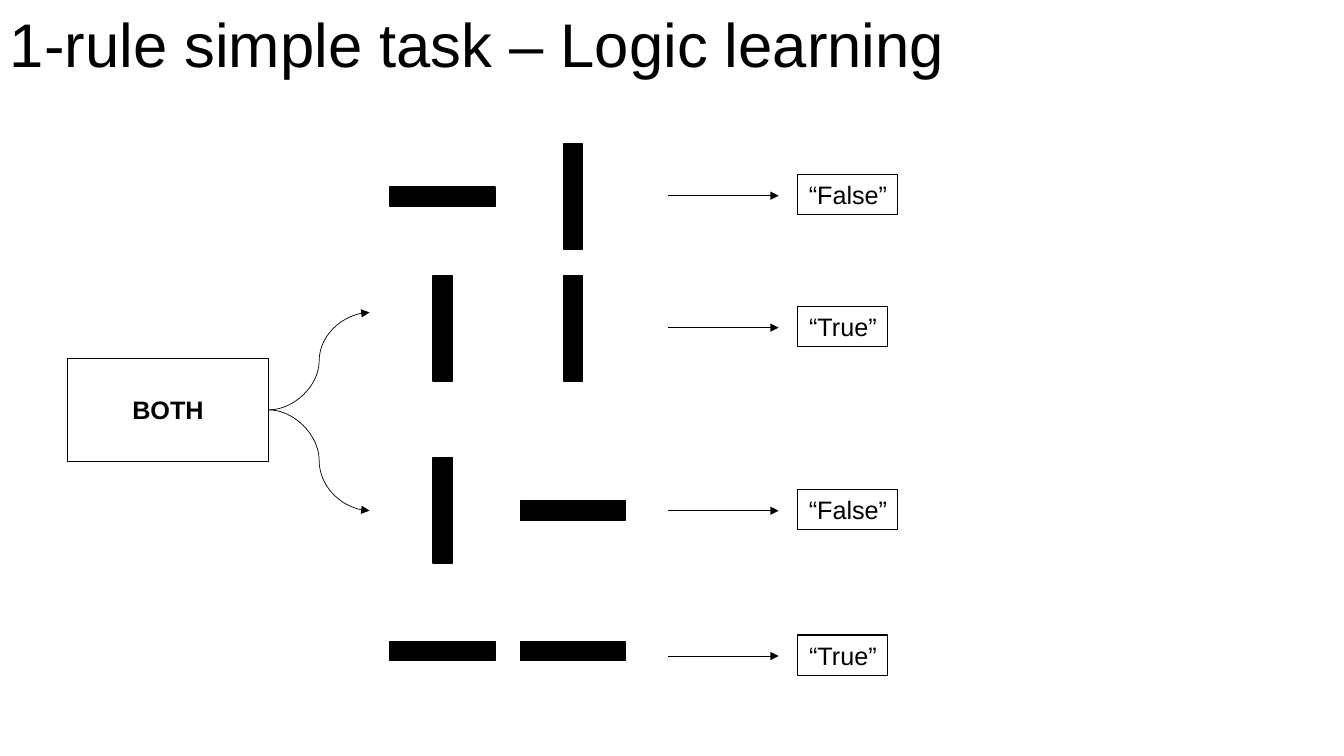
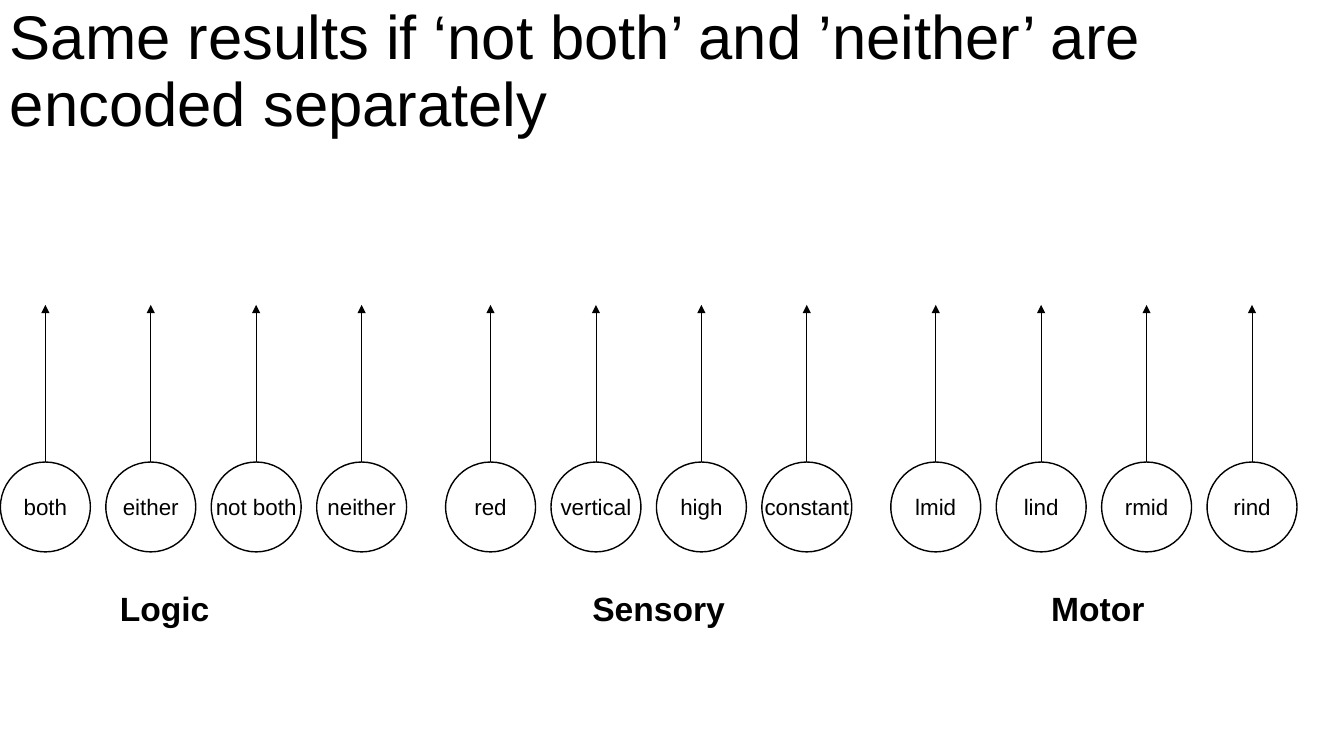
from dataclasses import dataclass

from lxml import etree
from pptx import Presentation
from pptx.dml.color import RGBColor
from pptx.enum.shapes import MSO_CONNECTOR, MSO_SHAPE
from pptx.enum.text import MSO_ANCHOR, PP_ALIGN
from pptx.oxml.ns import qn
from pptx.util import Inches, Pt

RECT, OVAL = MSO_SHAPE.RECTANGLE, MSO_SHAPE.OVAL
LINE, CURVE = MSO_CONNECTOR.STRAIGHT, MSO_CONNECTOR.CURVE
LEFT, CENTER = PP_ALIGN.LEFT, PP_ALIGN.CENTER
MIDDLE = MSO_ANCHOR.MIDDLE

COLS, ROWS = 160, 90
CELL = Inches(1) / 12


@dataclass(frozen=True)
class Theme:
    font: str = "Arial"
    ink: RGBColor = RGBColor(0, 0, 0)
    title: int = 44
    head: int = 24
    body: int = 18
    small: int = 16
    thin: float = 0.5
    frame: float = 0.75
    thick: float = 1


THEME = Theme()


def grid(*cells):
    return [round(cell * CELL) for cell in cells]


def write(shape, text, size, bold=False, align=CENTER, wrap=False, inset=0):
    frame = shape.text_frame
    frame.word_wrap = wrap
    frame.vertical_anchor = MIDDLE
    frame.margin_left = frame.margin_right = Inches(inset)
    para = frame.paragraphs[0]
    para.text = text
    para.alignment = align
    para.font.name = THEME.font
    para.font.size = Pt(size)
    para.font.bold = bold
    para.font.color.rgb = THEME.ink
    return para


def label(slide, box, text, size, **style):
    return write(slide.shapes.add_textbox(*grid(*box)), text, size, **style)


def title(slide, text, height):
    para = label(slide, (0, 0, COLS, height), text, THEME.title,
                 align=LEFT, wrap=True, inset=0.1)
    para.line_spacing = 0.9


def outline(slide, kind, box, width, filled=False):
    shape = slide.shapes.add_shape(kind, *grid(*box))
    shape.shadow.inherit = False
    if filled:
        shape.fill.solid()
        shape.fill.fore_color.rgb = THEME.ink
    else:
        shape.fill.background()
    shape.line.color.rgb = THEME.ink
    shape.line.width = Pt(width)
    return shape


def arrow(slide, start, end, kind=LINE):
    link = slide.shapes.add_connector(kind, *grid(*start, *end))
    link.line.color.rgb = THEME.ink
    link.line.width = Pt(THEME.thin)
    props = link._element.spPr
    tail = etree.SubElement(props.find(qn("a:ln")), qn("a:tailEnd"))
    tail.set("type", "triangle")
    etree.SubElement(props, qn("a:effectLst"))
    return link


def bar(slide, x, y, upright):
    long, short = 12.5, 2.3
    wide, high = (short, long) if upright else (long, short)
    outline(slide, RECT, (x - wide / 2, y - high / 2, wide, high),
            THEME.thick, filled=True)


def trial(slide, y, out, pair):
    for place, mark in enumerate(pair):
        bar(slide, 52.7 + 15.5 * place, y, mark == "|")
    arrow(slide, (79.5, out + 0.1), (92.7, out + 0.1))
    same = pair[0] == pair[1]
    wide, text = (10.7, "“True”") if same else (11.9, "“False”")
    box = outline(slide, RECT, (95, out - 2.4, wide, 4.8), THEME.frame)
    write(box, text, THEME.body)


def node(slide, x, text):
    size, top, tip = 10.7, 55, 36.3
    ring = outline(slide, OVAL, (x - size / 2, top, size, size), THEME.thick)
    write(ring, text, THEME.small)
    arrow(slide, (x, top), (x, tip)).begin_connect(ring, 0)


def logic(slide):
    title(slide, "1-rule simple task – Logic learning", 11.4)
    rule = outline(slide, RECT, (8, 42.7, 24, 12.2), THEME.frame)
    write(rule, "BOTH", THEME.body, bold=True)
    for y in (60.8, 37.2):
        arrow(slide, (32, 48.8), (44, y), CURVE)
    trials = [(23.4, 23.2, "-|"), (39.1, 38.9, "||"),
              (60.8, 60.7, "|-"), (77.5, 78, "--")]
    for y, out, pair in trials:
        trial(slide, y, out, pair)


def inputs(slide):
    title(slide, "Same results if ‘not both’ and ’neither’ are encoded separately",
          17.4)
    groups = [
        ("Logic", 19.6, ["both", "either", "not both", "neither"]),
        ("Sensory", 78.4, ["red", "vertical", "high", "constant"]),
        ("Motor", 130.7, ["lmid", "lind", "rmid", "rind"]),
    ]
    for group, (name, mid, words) in enumerate(groups):
        for place, word in enumerate(words):
            node(slide, 5.4 + 53 * group + 12.55 * place, word)
        label(slide, (mid - 9, 69.4, 18, 6), name, THEME.head, bold=True)


def main():
    deck = Presentation()
    deck.slide_width, deck.slide_height = grid(COLS, ROWS)
    blank = deck.slide_layouts[6]
    for draw in (logic, inputs):
        draw(deck.slides.add_slide(blank))
    deck.save("out.pptx")


if __name__ == "__main__":
    main()
